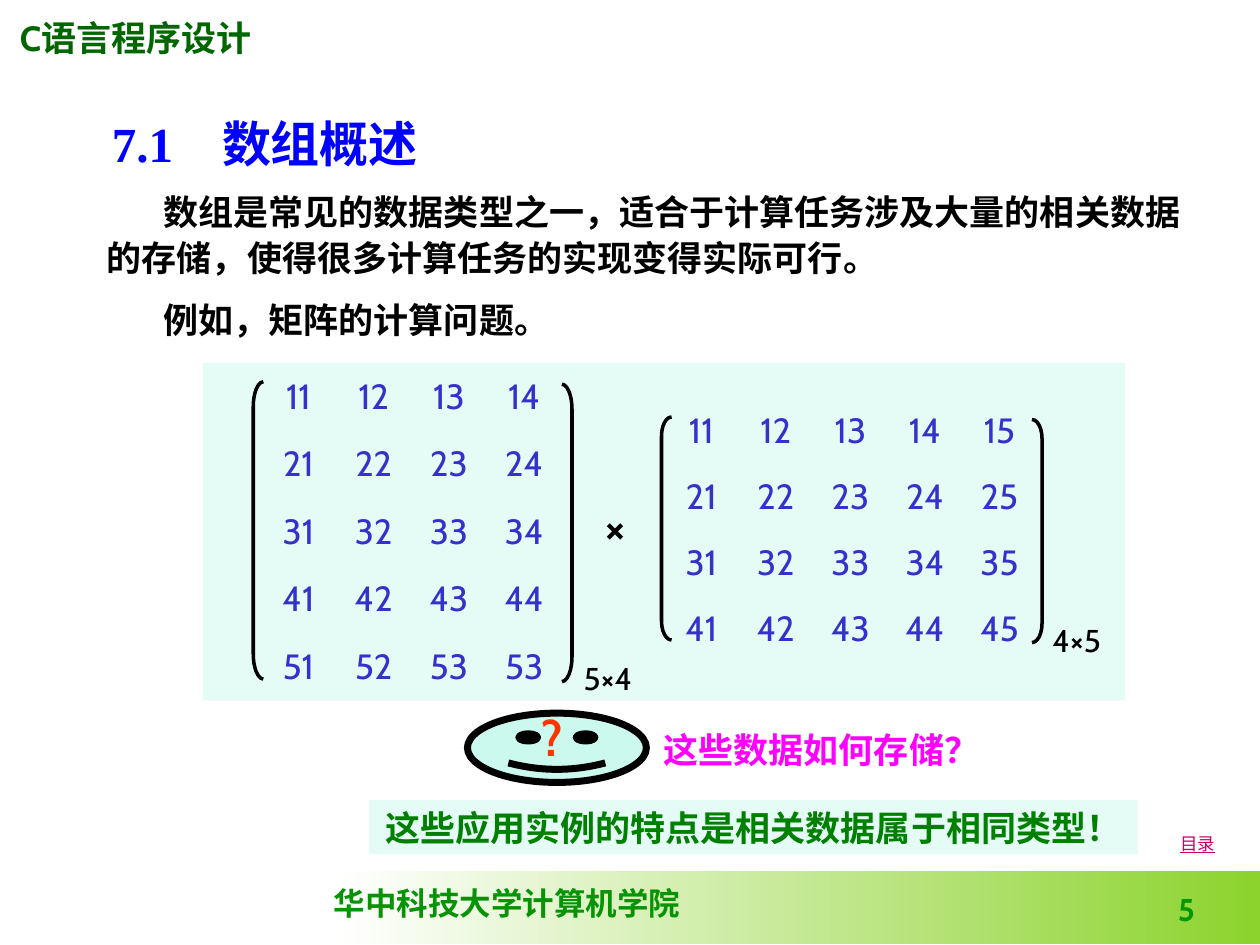
from lxml import etree
from pptx import Presentation
from pptx.dml.color import RGBColor
from pptx.enum.shapes import MSO_SHAPE
from pptx.enum.text import MSO_ANCHOR, PP_ALIGN
from pptx.oxml.ns import qn
from pptx.util import Inches, Pt

LEFT, CENTER, RIGHT = PP_ALIGN.LEFT, PP_ALIGN.CENTER, PP_ALIGN.RIGHT
TOP, MIDDLE, BOTTOM = MSO_ANCHOR.TOP, MSO_ANCHOR.MIDDLE, MSO_ANCHOR.BOTTOM
RECTANGLE, SMILEY = MSO_SHAPE.RECTANGLE, MSO_SHAPE.SMILEY_FACE
LEFT_BRACKET, RIGHT_BRACKET = MSO_SHAPE.LEFT_BRACKET, MSO_SHAPE.RIGHT_BRACKET
NO_STYLE = "{2D5ABB26-0587-4C30-8999-92F81FD0307C}"
SERIF, SANS = "Times New Roman", "Cabin"
MINT, BLACK = "00E4A8", "000000"

BODY = dict(bold=True, indent=0.45, line_spacing=1.1, anchor=MIDDLE)
# text or list of (text, run format), (left, top, width, height), format
TEXTS = [
    ("华中科技大学计算机学院", (2.55, 6.97, 2.95, 0.4),
     dict(size=18, font=SERIF, color="069406", bold=True, wrap=False)),
    ([("C", {}), ("语言程序设计", dict(font=SERIF))], (0.06, 0.08, 2.05, 0.43),
     dict(color="006600", bold=True)),
    ("5", (7.5, 6.95, 2.08, 0.46),
     dict(size=18, color="009900", bold=True, align=RIGHT, anchor=BOTTOM)),
    ("目录", (9.27, 6.56, 0.56, 0.27), dict(size=10, color="CC0066", underline=True)),
    ("7.1　数组概述", (0.79, 0.84, 7.52, 0.58),
     dict(size=28, font=SERIF, color="0000FF", bold=True, anchor=BOTTOM)),
    ("数组是常见的数据类型之一，适合于计算任务涉及大量的相关数据的存储，使得很多计算任务的实现变得实际可行。",
     (0.75, 1.39, 8.74, 0.91), BODY),
    ("例如，矩阵的计算问题。", (0.75, 2.25, 8.74, 0.54), BODY),
    ([("5", {}), ("×", dict(bold=True)), ("4", {})], (4.45, 5.18, 0.75, 0.4),
     dict(size=18, align=CENTER)),
    ([("4", {}), ("×", dict(bold=True)), ("5", {})], (8.17, 4.88, 0.75, 0.4),
     dict(size=18, align=CENTER)),
    ("×", (4.57, 3.89, 0.63, 0.57), dict(size=28, bold=True, align=CENTER)),
    ("这些数据如何存储？", (5.13, 5.73, 2.78, 0.43),
     dict(color="FF00FF", bold=True, align=CENTER)),
    ("?", (4.19, 5.57, 0.39, 0.57),
     dict(size=28, color="FF3300", bold=True, align=CENTER)),
]
CONCLUSION = "这些应用实例的特点是相关数据属于相同类型！"

MATRICES = [
    dict(rows=["11 12 13 14", "21 22 23 24", "31 32 33 34", "41 42 43 44", "51 52 53 53"],
         box=(2.07, 2.93, 2.39, 2.68),
         brackets=[(LEFT_BRACKET, 2.01, 3.03), (RIGHT_BRACKET, 4.46, 3.05)],
         bracket_height=2.36, curve=2.52),
    dict(rows=["11 12 13 14 15", "21 22 23 24 25", "31 32 33 34 35", "41 42 43 44 45"],
         box=(5.27, 3.2, 2.96, 2.1),
         brackets=[(LEFT_BRACKET, 5.25, 3.31), (RIGHT_BRACKET, 8.19, 3.33)],
         bracket_height=1.77, curve=1.89),
]


def rgb(value):
    return RGBColor.from_string(value)


def write(frame, text, size=20, font=SANS, color=BLACK, bold=False, underline=False,
          align=LEFT, anchor=TOP, wrap=True, indent=0, line_spacing=None):
    frame.word_wrap = wrap
    frame.vertical_anchor = anchor
    paragraph = frame.paragraphs[0]
    paragraph.alignment = align
    if line_spacing:
        paragraph.line_spacing = line_spacing
    if indent:
        paragraph._p.get_or_add_pPr().set("indent", str(Inches(indent)))
    for content, changes in [(text, {})] if isinstance(text, str) else text:
        run = paragraph.add_run()
        run.text = content
        run.font.size = Pt(size)
        run.font.name = changes.get("font", font)
        run.font.bold = changes.get("bold", bold)
        run.font.underline = underline
        run.font.color.rgb = rgb(color)


def add_shape(slide, kind, box, fill=None, opacity=100, line_width=0):
    shape = slide.shapes.add_shape(kind, *map(Inches, box))
    shape.shadow.inherit = False
    if fill:
        shape.fill.solid()
        shape.fill.fore_color.rgb = rgb(fill)
        color = shape._element.spPr.find(qn("a:solidFill")).find(qn("a:srgbClr"))
        etree.SubElement(color, qn("a:alpha")).set("val", str(opacity * 1000))
    else:
        shape.fill.background()
    if line_width:
        shape.line.color.rgb = rgb(BLACK)
        shape.line.width = Pt(line_width)
    else:
        shape.line.fill.background()
    return shape


def add_matrix(slide, rows, box, brackets, bracket_height, curve):
    values = [row.split() for row in rows]
    table = slide.shapes.add_table(len(values), len(values[0]), *map(Inches, box)).table
    table.first_row = table.horz_banding = False
    table._tbl.tblPr.find(qn("a:tableStyleId")).text = NO_STYLE
    for row, row_values in zip(table.rows, values):
        for cell, value in zip(row.cells, row_values):
            cell.fill.background()
            write(cell.text_frame, value, color="3333CC", align=CENTER)
    for kind, left, top in brackets:
        bracket = add_shape(slide, kind, (left, top, 0.08, bracket_height), line_width=2)
        bracket.adjustments[0] = curve


def main():
    presentation = Presentation()
    presentation.slide_width, presentation.slide_height = Inches(10), Inches(7.5)
    slide = presentation.slides.add_slide(presentation.slide_layouts[6])

    footer = add_shape(slide, RECTANGLE, (2.67, 6.91, 7.33, 0.58))
    footer.fill.gradient()
    footer.fill.gradient_angle = 0
    for stop, color in zip(footer.fill.gradient_stops, ("FFFFFF", "8CD32D")):
        stop.color.rgb = rgb(color)

    add_shape(slide, RECTANGLE, (1.61, 2.88, 7.32, 2.68), MINT, 10)
    for matrix in MATRICES:
        add_matrix(slide, **matrix)
    face = add_shape(slide, SMILEY, (3.71, 5.66, 1.42, 0.55), MINT, 20, line_width=4)
    face.adjustments[0] = 0.05
    banner = add_shape(slide, RECTANGLE, (2.93, 6.35, 6.1, 0.43), MINT, 10)
    write(banner.text_frame, CONCLUSION, color="008000", bold=True, align=CENTER)

    for text, box, style in TEXTS:
        write(slide.shapes.add_textbox(*map(Inches, box)).text_frame, text, **style)
    presentation.save("out.pptx")


if __name__ == "__main__":
    main()
